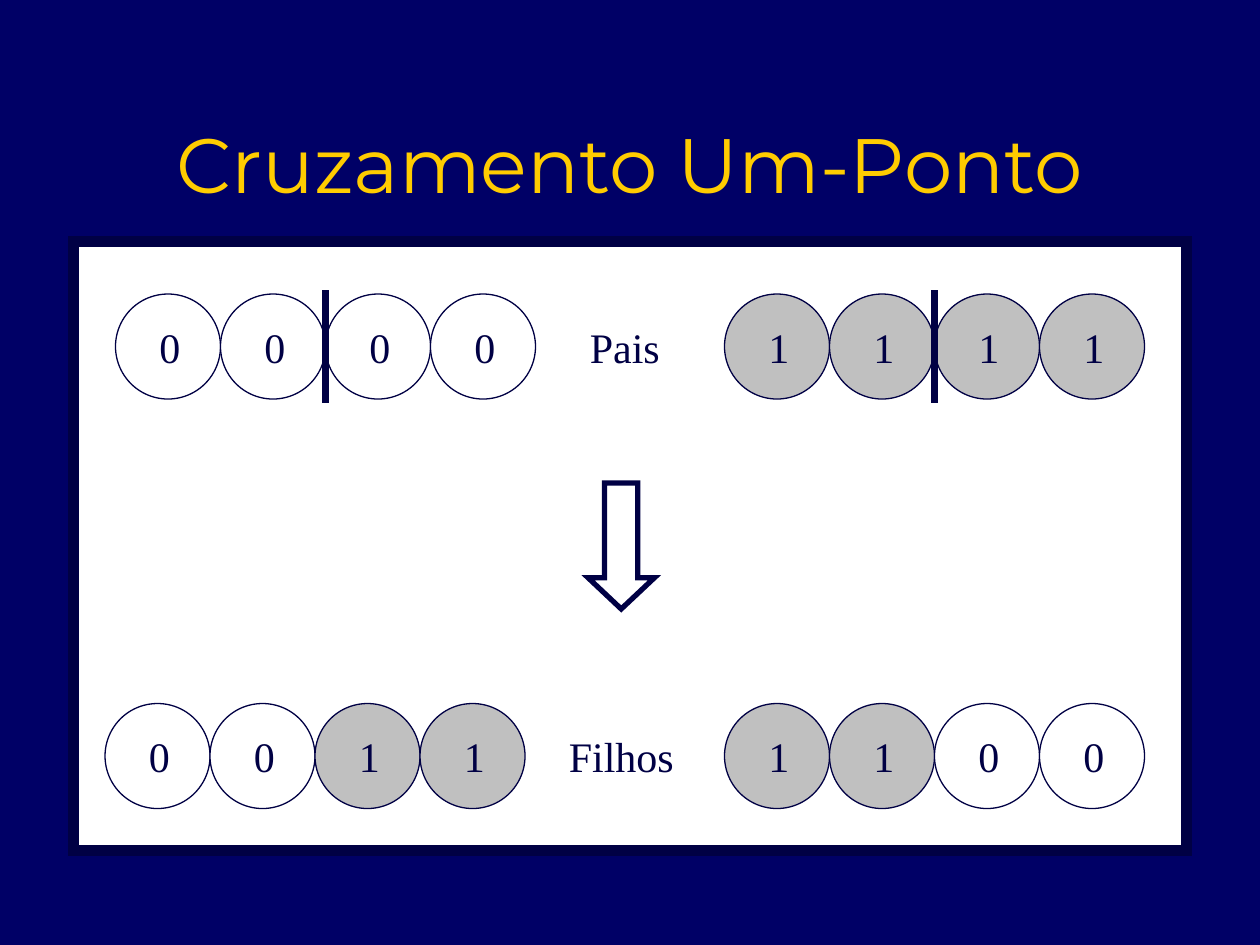
"""Build the slide on one-point crossover between two parents."""
from lxml import etree
from pptx import Presentation
from pptx.dml.color import RGBColor
from pptx.enum.shapes import MSO_CONNECTOR, MSO_SHAPE
from pptx.enum.text import MSO_ANCHOR, MSO_AUTO_SIZE, PP_ALIGN
from pptx.oxml.ns import qn
from pptx.util import Pt

BACKGROUND = RGBColor(0x00, 0x00, 0x66)
NAVY = RGBColor(0x00, 0x00, 0x44)
WHITE = RGBColor(0xFF, 0xFF, 0xFF)
GRAY = RGBColor(0xC0, 0xC0, 0xC0)
GOLD = RGBColor(0xFF, 0xCC, 0x00)
GENE_FILLS = {"0": WHITE, "1": GRAY}

RECTANGLE = MSO_SHAPE.RECTANGLE
ELLIPSE = MSO_SHAPE.OVAL
DOWN_ARROW = MSO_SHAPE.DOWN_ARROW
STRAIGHT = MSO_CONNECTOR.STRAIGHT
LEFT, CENTER = PP_ALIGN.LEFT, PP_ALIGN.CENTER
TOP, MIDDLE = MSO_ANCHOR.TOP, MSO_ANCHOR.MIDDLE
FIXED_SIZE, GROW = MSO_AUTO_SIZE.NONE, MSO_AUTO_SIZE.SHAPE_TO_FIT_TEXT

GENE_SIZE = 60
DIGIT_WIDTH, DIGIT_HEIGHT = 24, 36
DIGIT_LEFT, DIGIT_TOP = 18, 12
PARENTS_TOP, CHILDREN_TOP = 168, 402


def write_text(shape, text, font="Times New Roman", size=24, color=NAVY,
               align=LEFT, anchor=TOP, wrap=True):
    """Put one formatted paragraph into a shape, which grows if it does not wrap."""
    frame = shape.text_frame
    frame.word_wrap = wrap
    frame.auto_size = FIXED_SIZE if wrap else GROW
    frame.vertical_anchor = anchor
    paragraph = frame.paragraphs[0]
    paragraph.alignment = align
    run = paragraph.add_run()
    run.text = text
    run.font.name = font
    run.font.size = Pt(size)
    run.font.color.rgb = color


def add_text_box(slide, box, text, **text_format):
    """Add a text box at (left, top, width, height)."""
    write_text(slide.shapes.add_textbox(*map(Pt, box)), text, **text_format)


def add_shape(slide, kind, box, fill, line_width=None):
    """Add a filled preset shape, outlined with sharp corners if a line width is given."""
    shape = slide.shapes.add_shape(kind, *map(Pt, box))
    shape.shadow.inherit = False
    shape.fill.solid()
    shape.fill.fore_color.rgb = fill
    if line_width is None:
        shape.line.fill.background()
    else:
        shape.line.color.rgb = NAVY
        shape.line.width = Pt(line_width)
        outline = shape._element.spPr.find(qn("a:ln"))
        etree.SubElement(outline, qn("a:miter"), lim="800000")
    return shape


def add_chromosome(slide, left, top, genes):
    """Add a row of touching circles, one for each gene."""
    for index, gene in enumerate(genes):
        gene_left = left + index * GENE_SIZE
        fill = GENE_FILLS[gene]
        add_shape(slide, ELLIPSE, (gene_left, top, GENE_SIZE, GENE_SIZE), fill, 0.75)
        digit_box = (gene_left + DIGIT_LEFT, top + DIGIT_TOP, DIGIT_WIDTH, DIGIT_HEIGHT)
        digit = add_shape(slide, RECTANGLE, digit_box, fill)
        write_text(digit, gene, align=CENTER)


def add_cut(slide, chromosome_left):
    """Mark the crossover point in the middle of a parent."""
    x = Pt(chromosome_left + 2 * GENE_SIZE)
    cut = slide.shapes.add_connector(
        STRAIGHT, x, Pt(PARENTS_TOP + GENE_SIZE), x, Pt(PARENTS_TOP))
    cut.line.color.rgb = NAVY
    cut.line.width = Pt(4.5)
    properties = cut._element.spPr
    properties.find(qn("a:ln")).set("cap", "sq")
    etree.SubElement(properties, qn("a:effectLst"))


def main():
    """Build and save the presentation."""
    presentation = Presentation()
    presentation.slide_width, presentation.slide_height = Pt(720), Pt(540)
    slide = presentation.slides.add_slide(presentation.slide_layouts[6])
    slide.background.fill.solid()
    slide.background.fill.fore_color.rgb = BACKGROUND

    add_text_box(slide, (54, 62.5, 612, 60.5), "Cruzamento Um-Ponto",
                 font="Montserrat", size=44, color=GOLD, align=CENTER, anchor=MIDDLE)
    add_shape(slide, RECTANGLE, (42, 138, 636, 348), WHITE, 6)

    for left, genes in ((66, "0000"), (414, "1111")):
        add_chromosome(slide, left, PARENTS_TOP, genes)
        add_cut(slide, left)
    for left, genes in ((60, "0011"), (414, "1100")):
        add_chromosome(slide, left, CHILDREN_TOP, genes)

    for text, left, top, width in (("Pais", 330, PARENTS_TOP, 55),
                                   ("Filhos", 318, CHILDREN_TOP, 75)):
        add_text_box(slide, (left, top + DIGIT_TOP, width, DIGIT_HEIGHT), text, wrap=False)

    arrow = add_shape(slide, DOWN_ARROW, (336, 276, 38, 72), WHITE, 3)
    arrow.adjustments[0] = 0.5
    arrow.adjustments[1] = 0.47

    presentation.save("out.pptx")


if __name__ == "__main__":
    main()
